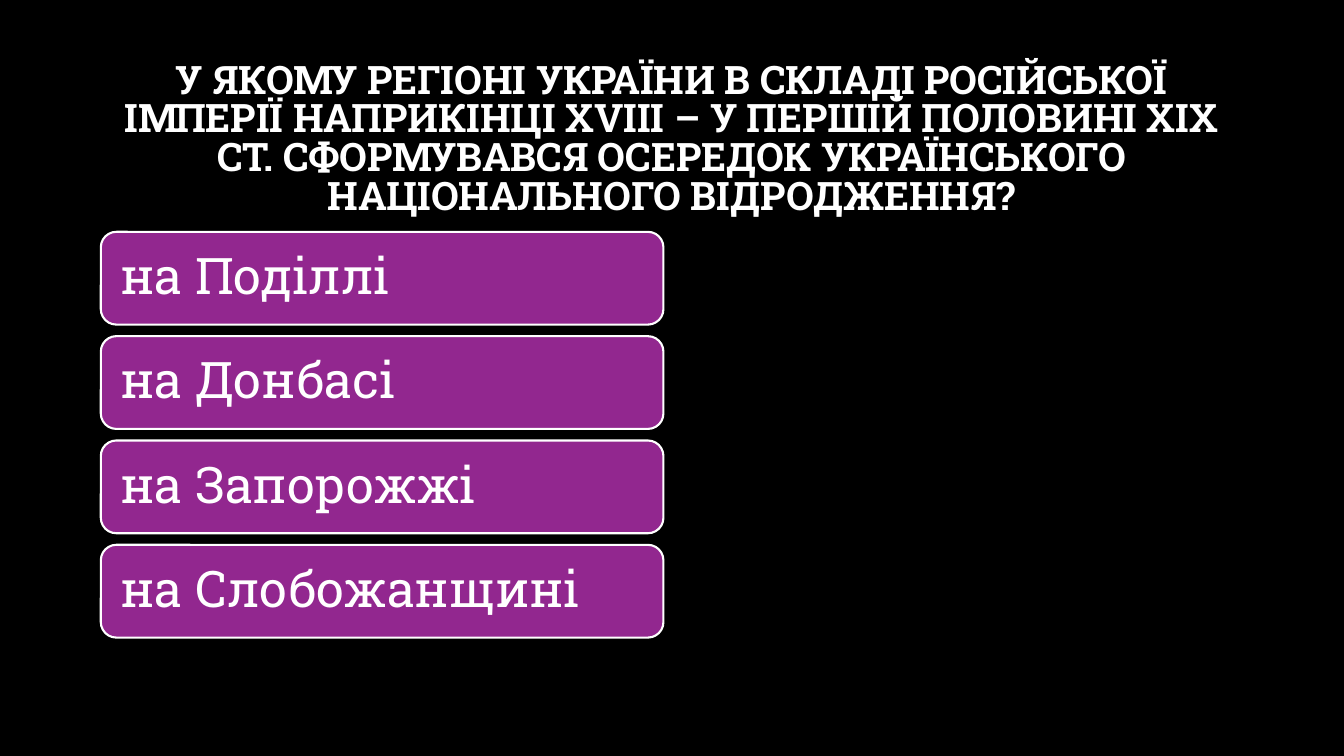
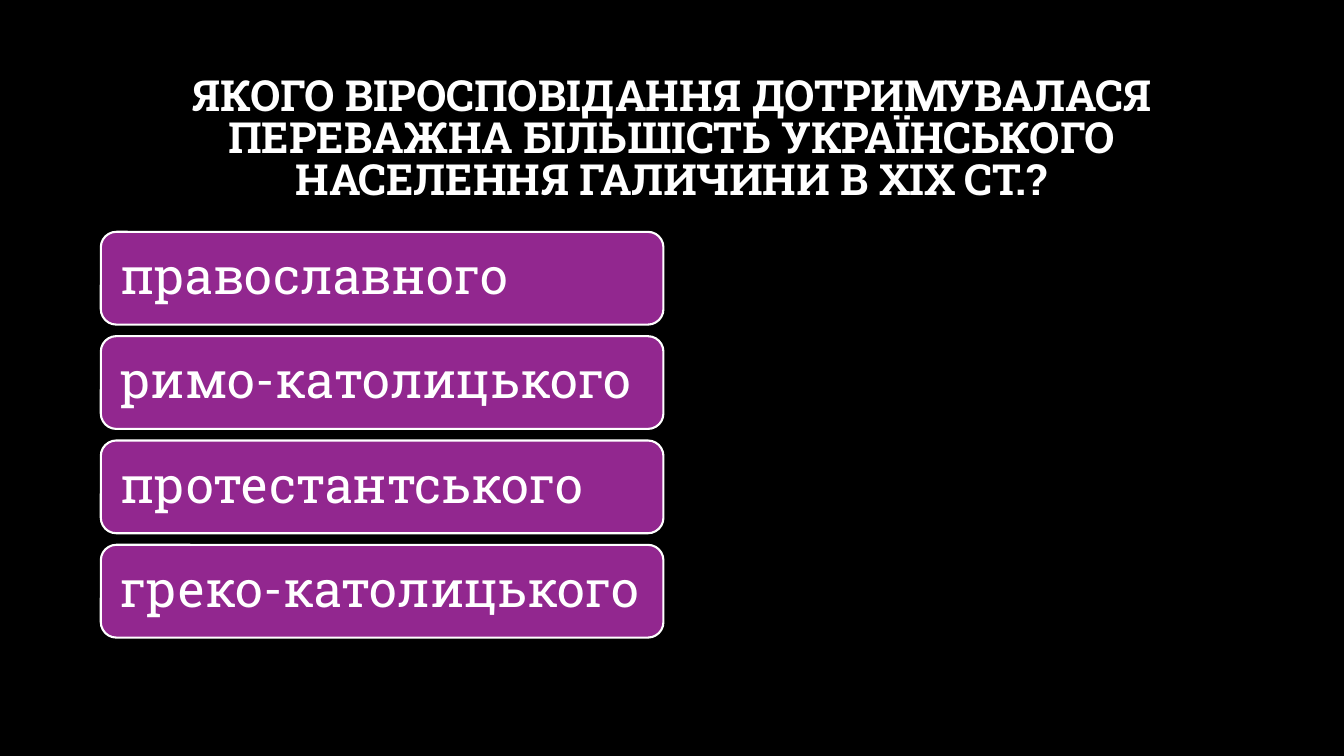
from pptx import Presentation
from pptx.dml.color import RGBColor
from pptx.enum.shapes import MSO_SHAPE
from pptx.enum.text import MSO_ANCHOR, PP_ALIGN
from pptx.util import Inches, Pt

# Shared style
FONT = "Roboto Slab"
BLACK, WHITE, PURPLE = "000000", "FFFFFF", "92278F"
LEFT = 1
ANSWER_TOP, ANSWER_W, ANSWER_H, ANSWER_PITCH = 2.3, 5.58, 0.92, 1.035

# Question, title size, answers
QUIZ = [
    ("У ЯКОМУ РЕГІОНІ УКРАЇНИ В СКЛАДІ РОСІЙСЬКОЇ ІМПЕРІЇ НАПРИКІНЦІ "
     "XVIII – У ПЕРШІЙ ПОЛОВИНІ XIX СТ. СФОРМУВАВСЯ ОСЕРЕДОК "
     "УКРАЇНСЬКОГО НАЦІОНАЛЬНОГО ВІДРОДЖЕННЯ?", 28,
     ["на Поділлі", "на Донбасі", "на Запорожжі", "на Слобожанщині"]),
    ("ЯКОГО ВІРОСПОВІДАННЯ ДОТРИМУВАЛАСЯ ПЕРЕВАЖНА БІЛЬШІСТЬ "
     "УКРАЇНСЬКОГО НАСЕЛЕННЯ ГАЛИЧИНИ В ХІХ СТ.?", 30.6,
     ["православного", "римо-католицького", "протестантського",
      "греко-католицького"]),
]


def color(value):
    return RGBColor.from_string(value)


def write(sp, text, size, align, spacing, bold=False):
    tf = sp.text_frame
    tf.word_wrap = True
    tf.vertical_anchor = MSO_ANCHOR.MIDDLE
    p = tf.paragraphs[0]
    p.alignment = align
    p.line_spacing = spacing
    r = p.add_run()
    r.text = text
    r.font.name = FONT
    r.font.size = Pt(size)
    r.font.bold = bold
    r.font.color.rgb = color(WHITE)


def add_title(s, text, size):
    sp = s.shapes.add_textbox(Inches(LEFT), Inches(0.67),
                              Inches(11.32), Inches(1.45))
    write(sp, text, size, PP_ALIGN.CENTER, 0.82, bold=True)


def add_answer(s, row, text):
    sp = s.shapes.add_shape(
        MSO_SHAPE.ROUNDED_RECTANGLE, Inches(LEFT),
        Inches(ANSWER_TOP + row * ANSWER_PITCH),
        Inches(ANSWER_W), Inches(ANSWER_H))
    sp.shadow.inherit = False
    sp.fill.solid()
    sp.fill.fore_color.rgb = color(PURPLE)
    sp.line.color.rgb = color(WHITE)
    sp.line.width = Pt(1.5)
    tf = sp.text_frame
    tf.margin_left = tf.margin_right = Inches(0.15)
    write(sp, text, 36, PP_ALIGN.LEFT, 0.9)


def add_question(prs, question, size, answers):
    s = prs.slides.add_slide(prs.slide_layouts[6])
    add_title(s, question, size)
    for row, answer in enumerate(answers):
        add_answer(s, row, answer)


def main():
    prs = Presentation()
    prs.slide_width, prs.slide_height = Inches(13.33), Inches(7.5)
    # One background for every slide
    fill = prs.slide_master.background.fill
    fill.solid()
    fill.fore_color.rgb = color(BLACK)
    for question, size, answers in QUIZ:
        add_question(prs, question, size, answers)
    prs.save("out.pptx")


if __name__ == "__main__":
    main()
